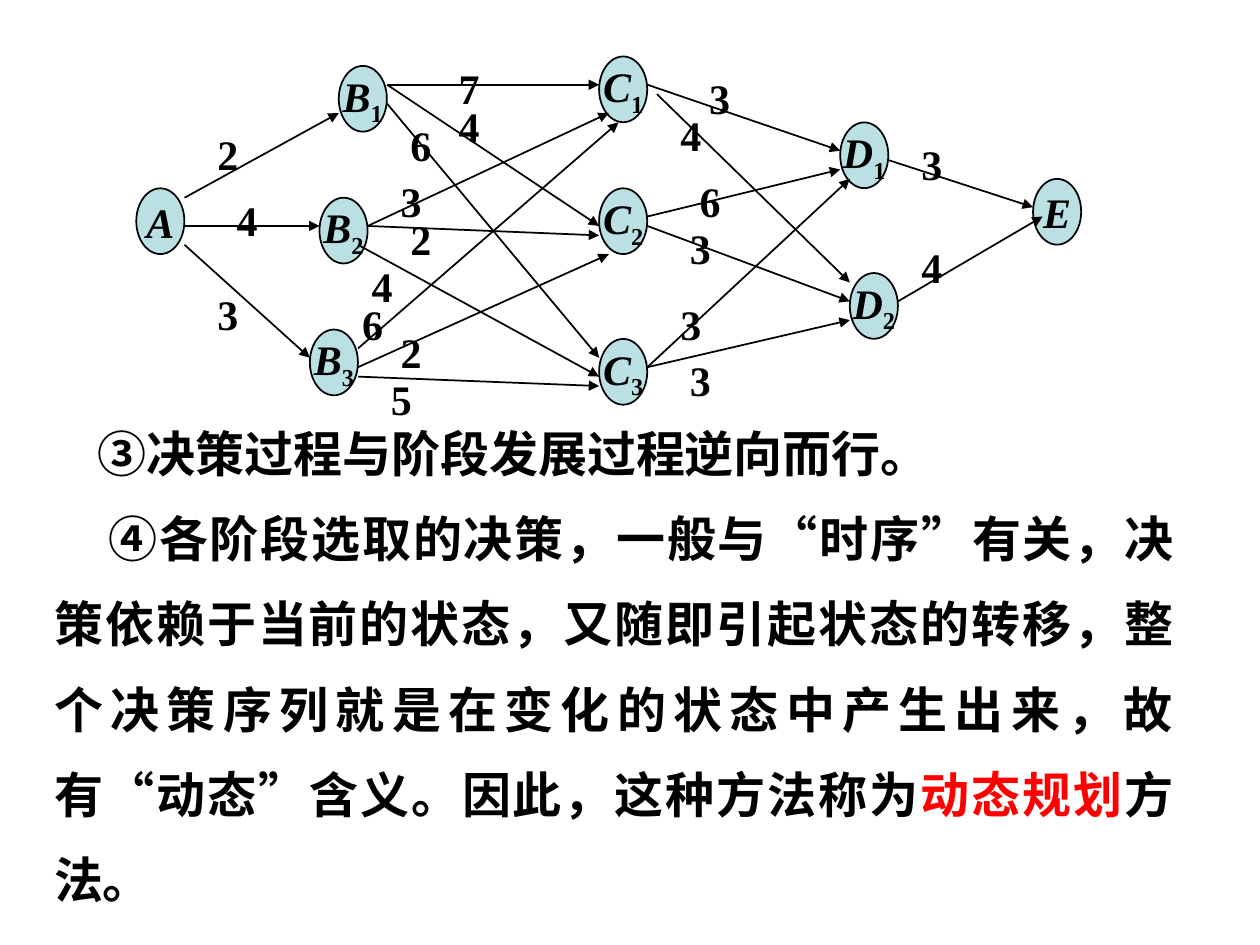
from lxml.etree import SubElement
from pptx import Presentation
from pptx.dml.color import RGBColor
from pptx.enum.shapes import MSO_CONNECTOR, MSO_SHAPE
from pptx.enum.text import MSO_ANCHOR, PP_ALIGN
from pptx.oxml.ns import qn
from pptx.util import Pt

BLACK = RGBColor(0, 0, 0)
RED = RGBColor(255, 0, 0)
BLUE = RGBColor(0xBB, 0xE0, 0xE3)
ROMAN = "Times New Roman"
HAN = "Noto Sans CJK SC"

# The graph lies on a grid: (column, row) of each node's top left corner
NODES = {
    "A": (0, 14),
    "B1": (21, 1), "B2": (19, 15), "B3": (18, 29),
    "C1": (48, 0), "C2": (48, 14), "C3": (48, 30),
    "D1": (73, 7), "D2": (74, 23),
    "E": (93, 13),
}
# Start, end, cost, top left corner of the cost
EDGES = [
    ((5, 15), (21, 6), 2, (6, 7)),
    ((5, 18), (19, 18), 4, (8, 14)),
    ((5, 20), (18, 32), 3, (6, 24)),
    ((26, 3), (48, 3), 7, (31, 0)),
    ((26, 3), (48, 18), 4, (31, 4)),
    ((26, 5), (48, 32), 6, (26, 6)),
    ((24, 18), (49, 6), 3, (25, 12)),
    ((24, 18), (48, 19), 2, (26, 16)),
    ((23, 20), (48, 34), 4, (22, 21)),
    ((23, 31), (50, 7), 6, (21, 25)),
    ((23, 33), (49, 21), 2, (25, 28)),
    ((23, 34), (48, 35), 5, (24, 33)),
    ((53, 3), (73, 10), 3, (57, 1)),
    ((54, 4), (74, 24), 4, (54, 5)),
    ((53, 17), (73, 12), 6, (56, 12)),
    ((53, 18), (74, 26), 3, (55, 17)),
    ((53, 33), (74, 13), 3, (54, 25)),
    ((53, 33), (74, 28), 3, (55, 31)),
    ((78, 11), (93, 16), 3, (79, 8)),
    ((79, 26), (94, 17), 4, (79, 19)),
]
# First-line indent, then (text, Latin font, colour) runs
PARTS = [
    (25, [("③决策过程与阶段发展过程逆向而行。", HAN, BLACK)]),
    (31, [
        ("④各阶段选取的决策，一般与", HAN, BLACK),
        ("“", ROMAN, BLACK), ("时序", HAN, BLACK), ("”", ROMAN, BLACK),
        ("有关，决策依赖于当前的状态，又随即引起状态的转移，"
         "整个决策序列就是在变化的状态中产生出来，故有", HAN, BLACK),
        ("“", ROMAN, BLACK), ("动态", HAN, BLACK), ("”", ROMAN, BLACK),
        ("含义。因此，这种方法称为", HAN, BLACK),
        ("动态规划", HAN, RED),
        ("方法。", HAN, BLACK),
    ]),
]


def place(spot):
    """Turn a grid spot into lengths on the slide."""
    col, row = spot
    return Pt(77.9 + 5.51 * col), Pt(32.3 + 5.38 * row)


def style(font, size, italic=None):
    font.size = Pt(size)
    font.bold = True
    font.italic = italic
    font.color.rgb = BLACK
    font.name = ROMAN


deck = Presentation()
deck.slide_width, deck.slide_height = Pt(720), Pt(540)
slide = deck.slides.add_slide(deck.slide_layouts[6])
shapes = slide.shapes

# Notes under the graph
box = shapes.add_textbox(Pt(23.8), Pt(223.2), Pt(653.8), Pt(299.5))
frame = box.text_frame
frame.word_wrap = True
for num, (indent, runs) in enumerate(PARTS):
    para = frame.add_paragraph() if num else frame.paragraphs[0]
    para.alignment = PP_ALIGN.JUSTIFY
    para.line_spacing = 1.45
    para._p.get_or_add_pPr().set("indent", str(Pt(indent)))
    para.font.size = Pt(28)
    para.font.bold = True
    for text, face, color in runs:
        run = para.add_run()
        run.text = text
        run.font.color.rgb = color
        run.font.name = face
        SubElement(run._r.get_or_add_rPr(), qn("a:ea"), typeface=HAN)

# Nodes
for name, spot in NODES.items():
    node = shapes.add_shape(MSO_SHAPE.OVAL, *place(spot), Pt(27.5), Pt(37.6))
    node.shadow.inherit = False
    node.fill.solid()
    node.fill.fore_color.rgb = BLUE
    node.line.color.rgb = BLACK
    node.line.width = Pt(1)
    frame = node.text_frame
    frame.word_wrap = False
    frame.vertical_anchor = MSO_ANCHOR.MIDDLE
    para = frame.paragraphs[0]
    para.alignment = PP_ALIGN.CENTER
    style(para.font, 24, True)
    for num, sign in enumerate(name):
        run = para.add_run()
        run.text = sign
        run.font.color.rgb = BLACK
        if num:
            run.font.italic = False
            run._r.get_or_add_rPr().set("baseline", "-25000")

# Arrows and their costs
for start, end, cost, spot in EDGES:
    arrow = shapes.add_connector(MSO_CONNECTOR.STRAIGHT, *place(start), *place(end))
    arrow.line.color.rgb = BLACK
    arrow.line.width = Pt(1)
    SubElement(arrow.line._get_or_add_ln(), qn("a:tailEnd"), type="triangle")
    SubElement(arrow._element.spPr, qn("a:effectLst"))

    label = shapes.add_textbox(*place(spot), Pt(38.6), Pt(36))
    label.text_frame.word_wrap = True
    para = label.text_frame.paragraphs[0]
    para.text = str(cost)
    para.alignment = PP_ALIGN.CENTER
    style(para.font, 24)

deck.save("out.pptx")
